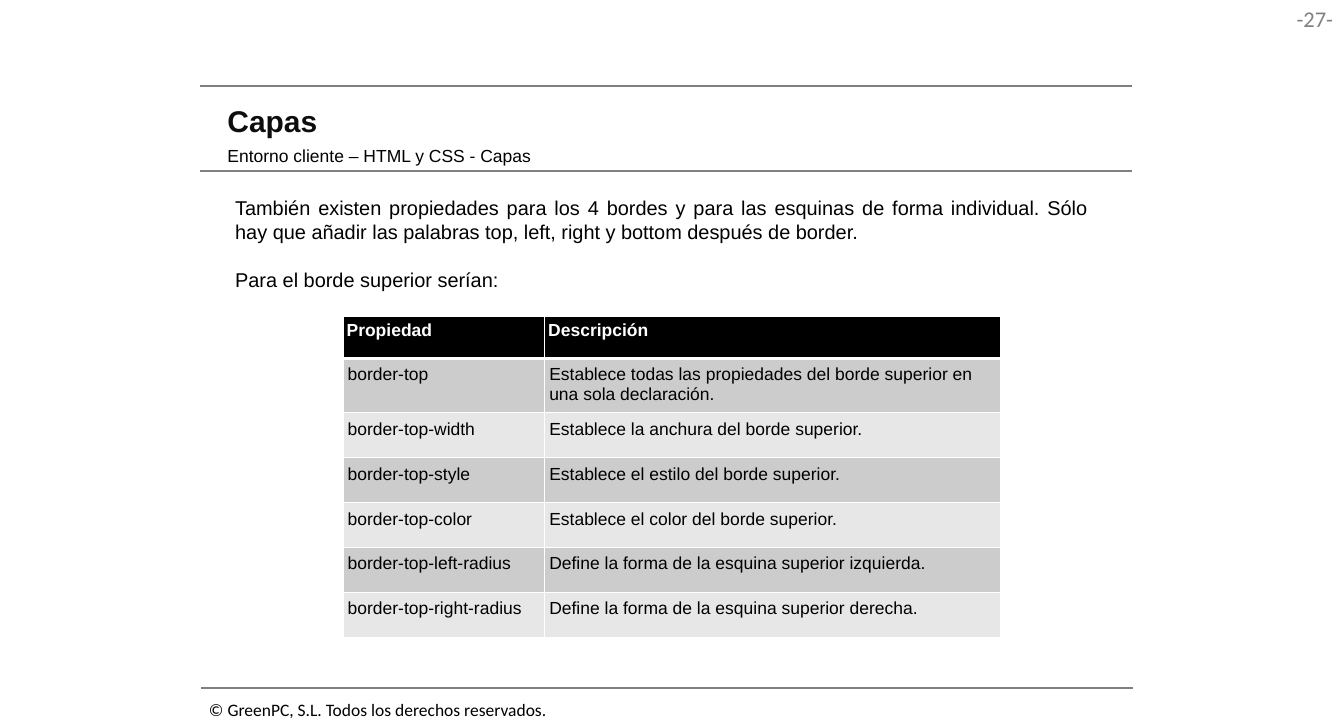
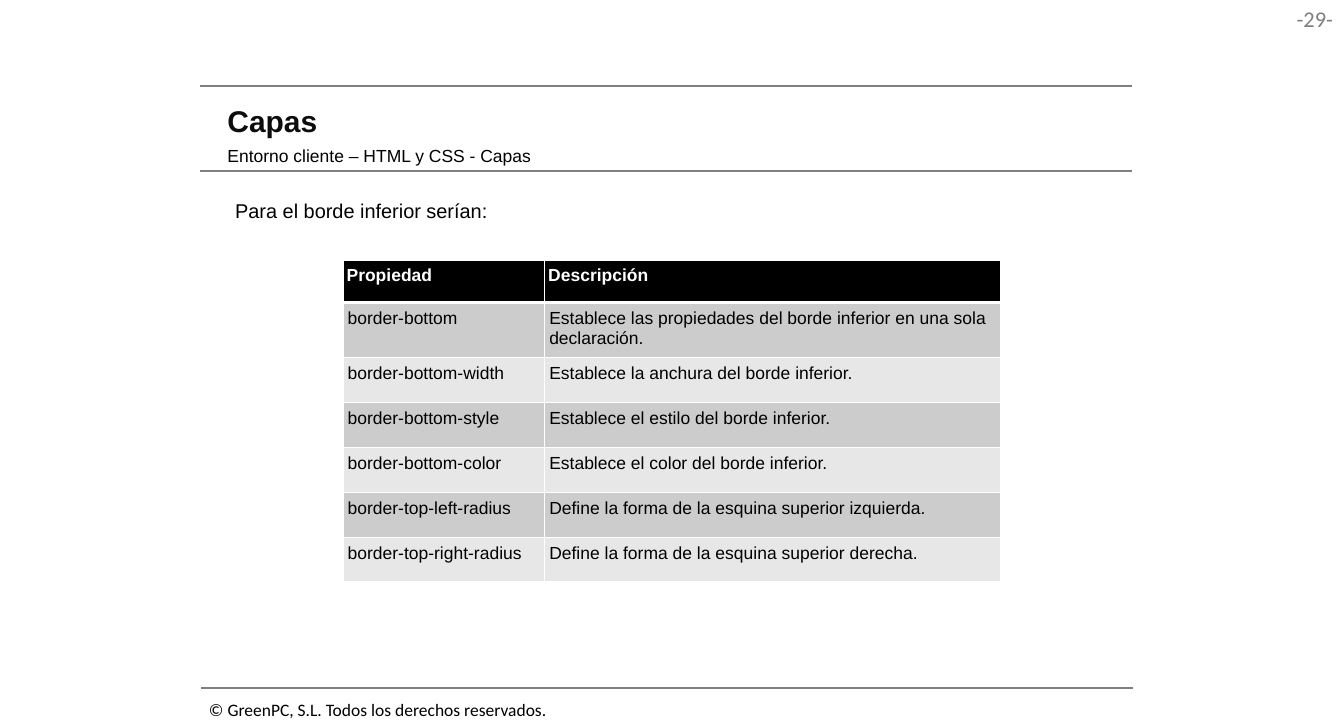
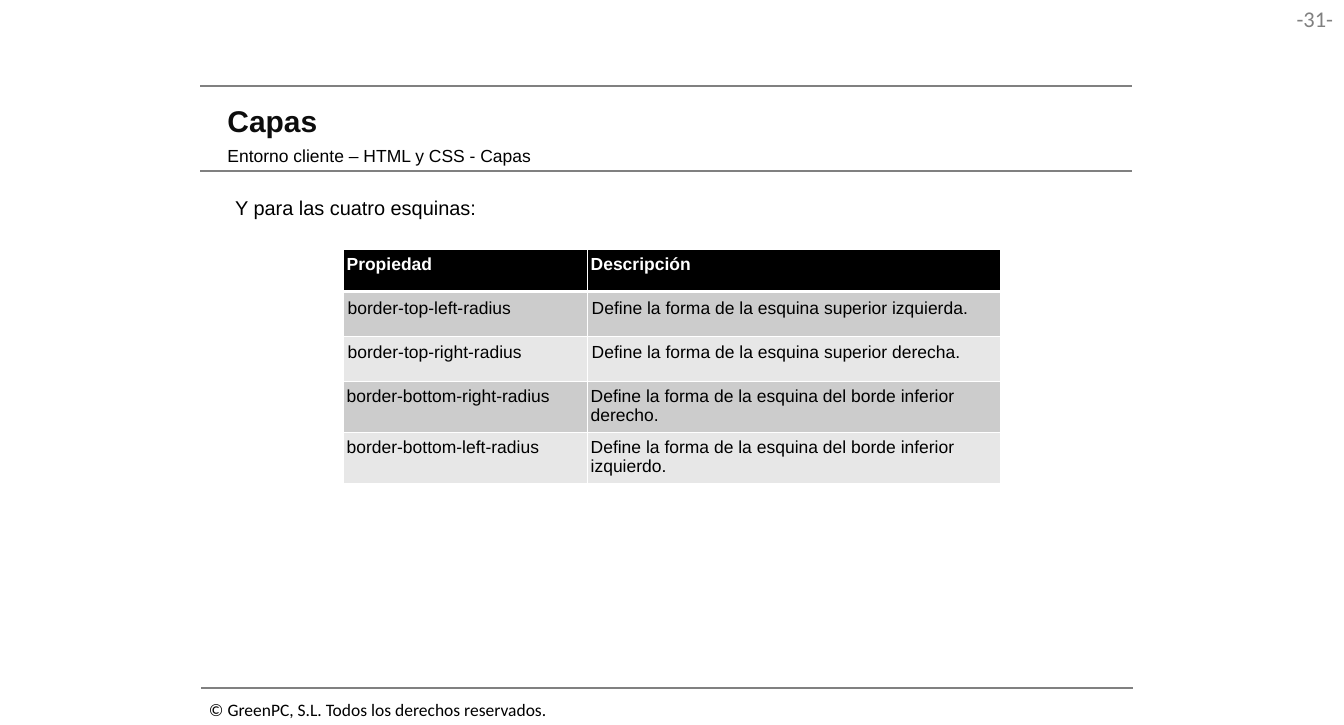
from pptx import Presentation
from pptx.dml.color import RGBColor
from pptx.enum.shapes import MSO_CONNECTOR
from pptx.enum.text import MSO_ANCHOR, PP_ALIGN
from pptx.oxml import parse_xml
from pptx.oxml.ns import nsdecls
from pptx.util import Cm, Pt

# Shared colours, text formats and insets (left/right, top/bottom in cm)
BLACK, WHITE, GREY = "000000", "FFFFFF", "808080"
BANDS = ["E7E7E7", "CCCCCC"]
TITLE = {"name": "Arial", "size": Pt(24), "bold": True}
SUBTITLE = {"name": "Arial", "size": Pt(14), "bold": False}
INTRO = {"name": "Arial", "size": Pt(16)}
HEADER = {"name": "Arial", "size": Pt(14), "bold": True}
FOOTER = {"name": "Calibri", "size": Pt(14)}
PAGE = {"name": "Calibri", "size": Pt(18)}
PLAIN, WIDE = (0.25, 0.13), (0.33, 0.18)
COMPACT, ROOMY = (0.1, 0.13), (0.13, 0.18)

# Rules as left, right, height on the page in cm
RULES = [(5.66, 32, 2.44), (5.66, 32, 4.83), (5.69, 32.03, 19.46)]

# Rows shared by several tables
TOP_CORNERS = [
    ("border-top-left-radius", "Define la forma de la esquina superior izquierda."),
    ("border-top-right-radius", "Define la forma de la esquina superior derecha."),
]

PAGES = [
    {
        "number": "-27-", "intro_top": 5.41, "align": PP_ALIGN.JUSTIFY,
        "intro": [
            "También existen propiedades para los 4 bordes y para las esquinas de forma "
            "individual. Sólo hay que añadir las palabras top, left, right y bottom "
            "después de border.",
            "Para el borde superior serían:",
        ],
        "table_top": 8.94, "columns": (5.7, 12.9), "compact_rows": {0},
        "rows": [
            ("border-top", "Establece todas las propiedades del borde superior en una sola declaración."),
            ("border-top-width", "Establece la anchura del borde superior."),
            ("border-top-style", "Establece el estilo del borde superior."),
            ("border-top-color", "Establece el color del borde superior."),
            *TOP_CORNERS,
        ],
    },
    {
        "number": "-29-", "intro_top": 5.49, "align": PP_ALIGN.LEFT,
        "intro": ["Para el borde inferior serían:"],
        "table_top": 7.37, "columns": (5.7, 12.9), "compact_rows": {0},
        "rows": [
            ("border-bottom", "Establece las propiedades del borde inferior en una sola declaración."),
            ("border-bottom-width", "Establece la anchura del borde inferior."),
            ("border-bottom-style", "Establece el estilo del borde inferior."),
            ("border-bottom-color", "Establece el color del borde inferior."),
            *TOP_CORNERS,
        ],
    },
    {
        "number": "-31-", "intro_top": 5.41, "align": PP_ALIGN.JUSTIFY,
        "intro": ["Y para las cuatro esquinas:"],
        "table_top": 7.06, "columns": (6.9, 11.7), "compact_rows": {0, 3, 4},
        "rows": [
            *TOP_CORNERS,
            ("border-bottom-right-radius", "Define la forma de la esquina del borde inferior derecho."),
            ("border-bottom-left-radius", "Define la forma de la esquina del borde inferior izquierdo."),
        ],
    },
]


def colour(colour_format, hex_value):
    colour_format.rgb = RGBColor.from_string(hex_value)


def write(holder, frame, lines, text_format, hex_value, insets, align=PP_ALIGN.LEFT):
    """Fill a text box or table cell; later paragraphs stand one line apart."""
    holder.margin_left = holder.margin_right = Cm(insets[0])
    holder.margin_top = holder.margin_bottom = Cm(insets[1])
    frame.word_wrap = True
    for index, line in enumerate(lines):
        paragraph = frame.add_paragraph() if index else frame.paragraphs[0]
        paragraph.text = line
        paragraph.alignment = align
        if index:
            paragraph.space_before = Pt(19)
        for attribute, value in text_format.items():
            setattr(paragraph.font, attribute, value)
        colour(paragraph.font.color, hex_value)


deck = Presentation()
deck.slide_width, deck.slide_height = Cm(38), Cm(20.5)

for page in PAGES:
    slide = deck.slides.add_slide(deck.slide_layouts[6])

    # Rules above and below the heading and above the footer
    for left, right, height in RULES:
        rule = slide.shapes.add_connector(
            MSO_CONNECTOR.STRAIGHT, Cm(left), Cm(height), Cm(right), Cm(height))
        colour(rule.line.color, GREY)
        rule.line.width = Pt(1.5)
        rule._element.spPr.append(parse_xml(f"<a:effectLst {nsdecls('a')}/>"))

    # Page number, footer, heading and introduction
    top, middle = MSO_ANCHOR.TOP, MSO_ANCHOR.MIDDLE
    for place, anchor, *content in [
        ((35.89, 0, 2.08, 1.04), top, [page["number"]], PAGE, GREY, (0.28, 0.13), PP_ALIGN.RIGHT),
        ((5.66, 19.63, 12, 0.86), top, ["© GreenPC, S.L. Todos los derechos reservados."],
         FOOTER, BLACK, PLAIN),
        ((6.1, 2.72, 25.7, 1.37), middle, ["Capas"], TITLE, "0D0D0D", WIDE),
        ((6.1, 3.94, 19.3, 0.94), middle, ["Entorno cliente – HTML y CSS - Capas"],
         SUBTITLE, BLACK, WIDE),
        ((6.4, page["intro_top"], 24.61, 0.94), top, page["intro"], INTRO, BLACK, PLAIN,
         page["align"]),
    ]:
        frame = slide.shapes.add_textbox(*map(Cm, place)).text_frame
        frame.vertical_anchor = anchor
        write(frame, frame, *content)

    # Table of properties
    rows = [("Propiedad", "Descripción"), *page["rows"]]
    heights = [1.19] + [1.27] * len(page["rows"])
    properties = slide.shapes.add_table(
        len(rows), 2, Cm(9.7), Cm(page["table_top"]),
        Cm(sum(page["columns"])), Cm(sum(heights))).table
    for column, width in zip(properties.columns, page["columns"]):
        column.width = Cm(width)
    for row_index, (texts, height) in enumerate(zip(rows, heights)):
        properties.rows[row_index].height = Cm(height)
        heading = row_index == 0
        insets = COMPACT if row_index in page["compact_rows"] else ROOMY
        borders = {"L": 1, "R": 1, "T": 3 if row_index == 1 else 1, "B": 3 if heading else 1}
        for column_index, text in enumerate(texts):
            cell = properties.cell(row_index, column_index)
            write(cell, cell.text_frame, [text], HEADER if heading else SUBTITLE,
                  WHITE if heading else BLACK, insets)
            for side, weight in borders.items():
                cell._tc.get_or_add_tcPr().append(parse_xml(
                    f'<a:ln{side} {nsdecls("a")} w="{Pt(weight)}"><a:solidFill>'
                    f'<a:srgbClr val="{WHITE}"/></a:solidFill></a:ln{side}>'))
            cell.fill.solid()
            colour(cell.fill.fore_color, BLACK if heading else BANDS[row_index % 2])

deck.save("out.pptx")
